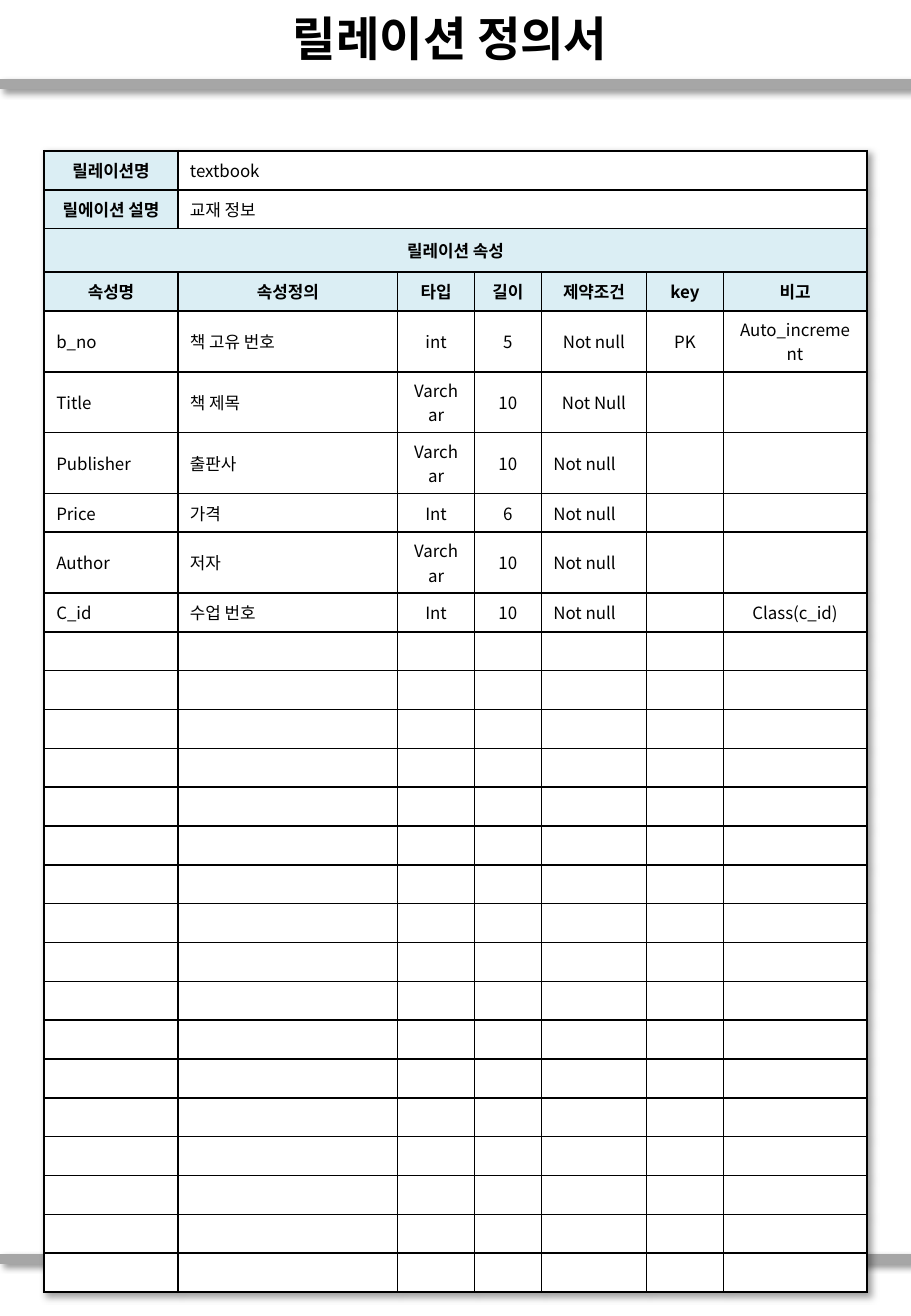
"""Build the relation definition sheet for the textbook relation."""
from dataclasses import astuple, dataclass
from typing import Any

from lxml import etree
from pptx import Presentation
from pptx import util as u
from pptx.dml.color import RGBColor
from pptx.enum import shapes, text
from pptx.oxml import ns

COLORS = {"ink": "000000", "rule": "A6A6A6", "heading": "DBEEF4", "paper": "FFFFFF"}
KOREAN_FONT = "Noto Sans CJK KR"
LEFT, CENTER = text.PP_ALIGN.LEFT, text.PP_ALIGN.CENTER
TITLE_FORMAT = {"name": "Arial", "size": u.Pt(28), "bold": True}
HEADING_FORMAT = {"name": KOREAN_FONT, "size": u.Pt(10), "bold": True}
VALUE_FORMAT = {**HEADING_FORMAT, "bold": False}
SHEET_WIDTH, SHEET_HEIGHT = 540, 780
ROW_HEIGHT, SECTION_HEIGHT = 23.04, 25.8
BLANK_ROWS = 17
INNER_BORDER, OUTER_BORDER = 1, 1.5


@dataclass
class Column:
    heading: str
    width: float
    align: Any = CENTER


@dataclass
class Attribute:
    name: str
    meaning: str
    kind: str
    length: str
    constraint: str
    key: str = ""
    remark: str = ""


COLUMNS = [
    Column("속성명", 79.2, LEFT),
    Column("속성정의", 130.4, LEFT),
    Column("타입", 45.4),
    Column("길이", 39.7),
    Column("제약조건", 62.4),
    Column("key", 45.5),
    Column("비고", 85),
]
CONSTRAINT_COLUMN = 4
SUMMARY = [("릴레이션명", "textbook"), ("릴에이션 설명", "교재 정보")]
SECTION = "릴레이션 속성"
ATTRIBUTES = [
    Attribute("b_no", "책 고유 번호", "int", "5", "Not null", "PK", "Auto_increment"),
    Attribute("Title", "책 제목", "Varchar", "10", "Not Null"),
    Attribute("Publisher", "출판사", "Varchar", "10", "Not null"),
    Attribute("Price", "가격", "Int", "6", "Not null"),
    Attribute("Author", "저자", "Varchar", "10", "Not null"),
    Attribute("C_id", "수업 번호", "Int", "10", "Not null", remark="Class(c_id)"),
]
CENTERED_CONSTRAINTS = 2
SECTION_ROW = len(SUMMARY)
HEADING_ROW = SECTION_ROW + 1
FIRST_ATTRIBUTE_ROW = HEADING_ROW + 1
ROW_COUNT = FIRST_ATTRIBUTE_ROW + len(ATTRIBUTES) + BLANK_ROWS


def apply_format(target: Any, values: dict) -> None:
    """Set every format value on the target."""
    for attribute, value in values.items():
        setattr(target, attribute, value)


def add_node(parent: Any, tag: str, **attributes: Any) -> Any:
    """Append a drawing element with the given attributes."""
    values = {key: str(value) for key, value in attributes.items()}
    return etree.SubElement(parent, ns.qn(f"a:{tag}"), values)


def add_shadow(properties: Any, position: int) -> None:
    """Insert a soft shadow falling to the lower right."""
    effects = add_node(properties, "effectLst")
    shadow = add_node(effects, "outerShdw", blurRad=u.Pt(4), dist=u.Pt(3),
                      dir=45 * 60000, algn="tl", rotWithShape=0)
    color = add_node(shadow, "srgbClr", val=COLORS["ink"])
    add_node(color, "alpha", val=40000)
    properties.insert(position, effects)


def write(paragraph: Any, words: str, align: Any, values: dict) -> None:
    """Write one aligned run, or size the empty paragraph."""
    paragraph.alignment = align
    if not words:
        add_node(paragraph._p, "endParaRPr", sz=int(values["size"].pt * 100))
        return
    run = paragraph.add_run()
    run.text = words
    apply_format(run.font, values)
    run.font.color.rgb = RGBColor.from_string(COLORS["ink"])
    add_node(run._r.get_or_add_rPr(), "ea", typeface=KOREAN_FONT)


def add_rule(slide: Any, height: float) -> None:
    """Draw a thick shadowed line across the sheet."""
    rule = slide.shapes.add_connector(
        shapes.MSO_CONNECTOR.STRAIGHT, 0, u.Pt(height), u.Pt(SHEET_WIDTH), u.Pt(height))
    rule.line.width = u.Pt(6)
    rule.line.color.rgb = RGBColor.from_string(COLORS["rule"])
    properties = rule._element.spPr
    add_shadow(properties, len(properties))


def add_title(slide: Any, words: str) -> None:
    """Place and fill the title placeholder."""
    title = slide.shapes.title
    apply_format(title, {"left": 0, "top": u.Pt(0.7),
                         "width": u.Pt(SHEET_WIDTH), "height": u.Pt(43.2)})
    apply_format(title.text_frame, {"vertical_anchor": text.MSO_ANCHOR.MIDDLE,
                                    "auto_size": text.MSO_AUTO_SIZE.NONE,
                                    "word_wrap": True})
    write(title.text_frame.paragraphs[0], words, CENTER, TITLE_FORMAT)


def style_cell(cell: Any, row: int, column: int) -> None:
    """Border and fill a cell according to its place in the grid."""
    last_column = column + max(cell.span_width, 1) - 1
    outer_edges = {"lnL": column == 0, "lnR": last_column == len(COLUMNS) - 1,
                   "lnT": row == 0, "lnB": row == ROW_COUNT - 1}
    properties = cell._tc.get_or_add_tcPr()
    for edge, is_outer in outer_edges.items():
        width = u.Pt(OUTER_BORDER if is_outer else INNER_BORDER)
        fill = add_node(add_node(properties, edge, w=width), "solidFill")
        add_node(fill, "srgbClr", val=COLORS["ink"])
    is_heading = (row in (SECTION_ROW, HEADING_ROW)
                  or row < SECTION_ROW and column == 0)
    cell.fill.solid()
    cell.fill.fore_color.rgb = RGBColor.from_string(
        COLORS["heading" if is_heading else "paper"])
    cell.vertical_anchor = text.MSO_ANCHOR.MIDDLE


def fill_headings(table: Any) -> None:
    """Write the relation summary, section band and column headings."""
    last = len(COLUMNS) - 1
    for row, (label, value) in enumerate(SUMMARY):
        table.cell(row, 1).merge(table.cell(row, last))
        write(table.cell(row, 0).text_frame.paragraphs[0], label, CENTER, HEADING_FORMAT)
        write(table.cell(row, 1).text_frame.paragraphs[0], value, LEFT, VALUE_FORMAT)
    band = table.cell(SECTION_ROW, 0)
    band.merge(table.cell(SECTION_ROW, last))
    write(band.text_frame.paragraphs[0], SECTION, CENTER, HEADING_FORMAT)
    for index, column in enumerate(COLUMNS):
        heading = table.cell(HEADING_ROW, index).text_frame.paragraphs[0]
        write(heading, column.heading, CENTER, HEADING_FORMAT)


def fill_attributes(table: Any) -> None:
    """Write the attributes and size the blank rows after them."""
    blank = Attribute("", "", "", "", "")
    for number, attribute in enumerate(ATTRIBUTES + [blank] * BLANK_ROWS):
        for index, value in enumerate(astuple(attribute)):
            align = COLUMNS[index].align
            if index == CONSTRAINT_COLUMN and number >= CENTERED_CONSTRAINTS:
                align = LEFT
            cell = table.cell(FIRST_ATTRIBUTE_ROW + number, index)
            write(cell.text_frame.paragraphs[0], value, align, VALUE_FORMAT)


def add_definition(slide: Any) -> None:
    """Add the relation definition table."""
    width = sum(column.width for column in COLUMNS)
    height = ROW_HEIGHT * (ROW_COUNT - 1) + SECTION_HEIGHT
    table = slide.shapes.add_table(ROW_COUNT, len(COLUMNS), u.Pt(26.2), u.Pt(89.5),
                                   u.Pt(width), u.Pt(height)).table
    apply_format(table, {"first_row": False, "horz_banding": False})
    add_shadow(table._tbl.tblPr, 0)
    for index, column in enumerate(COLUMNS):
        table.columns[index].width = u.Pt(column.width)
    for index, row in enumerate(table.rows):
        row.height = u.Pt(SECTION_HEIGHT if index == SECTION_ROW else ROW_HEIGHT)
    fill_headings(table)
    fill_attributes(table)
    for row in range(ROW_COUNT):
        for column in range(len(COLUMNS)):
            style_cell(table.cell(row, column), row, column)


def main() -> None:
    """Build and save the sheet."""
    deck = Presentation()
    apply_format(deck, {"slide_width": u.Pt(SHEET_WIDTH), "slide_height": u.Pt(SHEET_HEIGHT)})
    slide = deck.slides.add_slide(deck.slide_layouts[5])
    for height in (49.7, 746):
        add_rule(slide, height)
    add_title(slide, "릴레이션 정의서 ")
    add_definition(slide)
    deck.save("out.pptx")


if __name__ == "__main__":
    main()
